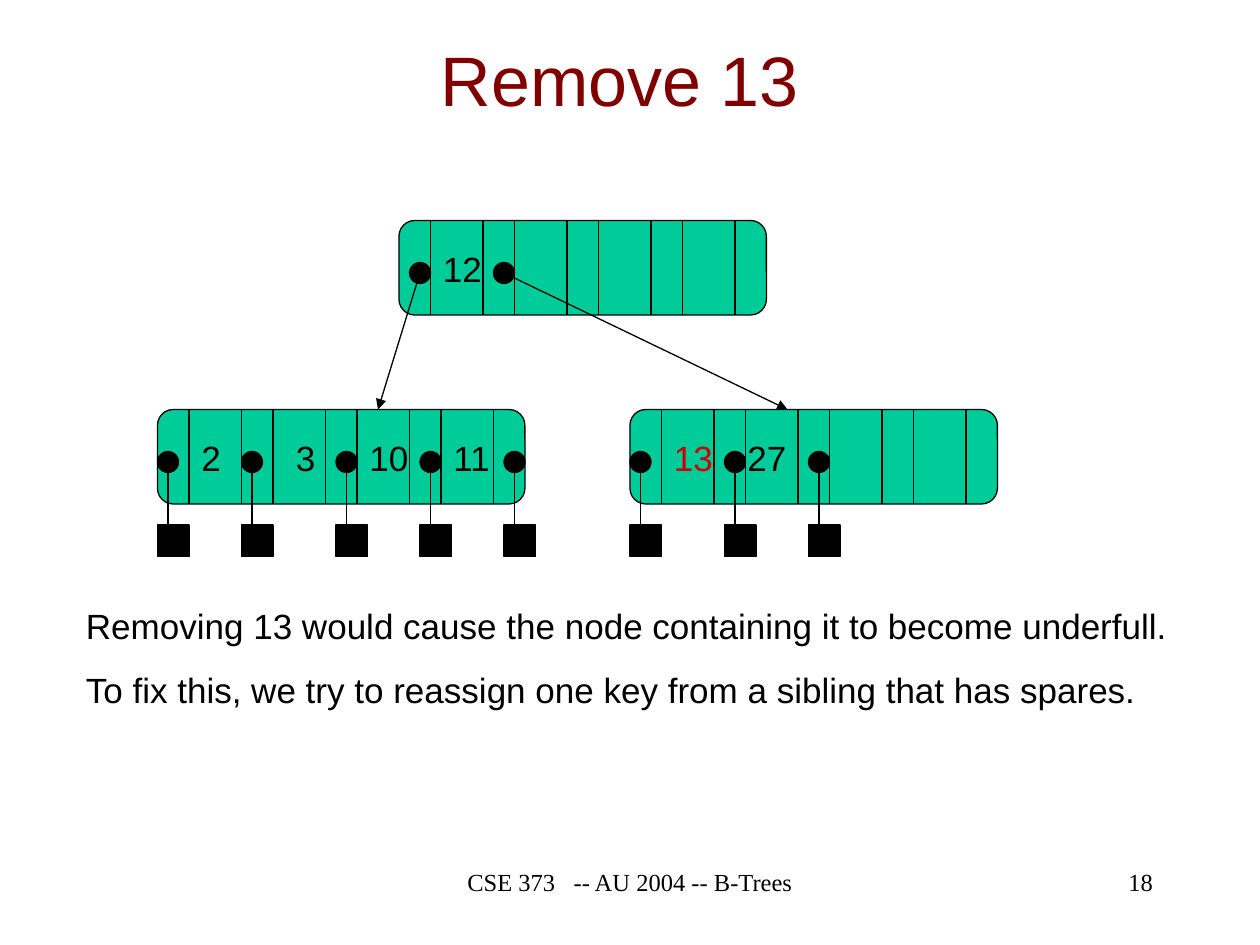
"""Draw a B-tree slide on a grid of twelfths of an inch."""
from dataclasses import dataclass

import pptx
import pptx.dml.color
import pptx.enum.shapes
import pptx.enum.text
import pptx.oxml
import pptx.oxml.ns
import pptx.util

Kind = pptx.enum.shapes.MSO_SHAPE
Align = pptx.enum.text.PP_ALIGN
Anchor = pptx.enum.text.MSO_ANCHOR
Fit = pptx.enum.text.MSO_AUTO_SIZE
BLACK, RED, MAROON, GREEN = "000000", "CC0000", "800000", "00CC99"
WIDE, HIGH = 35, 9


@dataclass
class Key:
    text: str
    shift: float
    tint: str = BLACK


@dataclass
class Node:
    left: float
    top: float
    keys: list[Key]
    dots: list[float]
    leaf: bool = True


@dataclass
class Label:
    box: tuple[float, float, float, float]
    lines: list[str]
    size: float
    tint: str = BLACK
    face: str = "Arial"
    align: Align = Align.LEFT
    before: float = 0
    anchor: Anchor = Anchor.TOP
    wrap: bool = True
    fit: Fit = Fit.NONE


NODES = [
    Node(15, 39, [Key("2", 3), Key("3", 12), Key("10", 19), Key("11", 27)],
         [0, 8, 17, 25, 33]),
    Node(38, 21, [Key("12", 3)], [1, 9], False),
    Node(60, 39, [Key("13", 3, RED), Key("27", 10)], [0, 9, 17]),
]
LINKS = [(40, 26, 36, 39), (48, 26, 75, 39)]
LABELS = [
    Label((41, 82, 38, 6), ["CSE 373   -- AU 2004 -- B-Trees"], 14,
          face="Times New Roman", align=Align.CENTER),
    Label((86, 82, 25, 6), ["18"], 14, face="Times New Roman", align=Align.RIGHT),
    Label((8, 2, 102, 11), ["Remove 13"], 40, MAROON, align=Align.CENTER,
          anchor=Anchor.MIDDLE),
    Label((7, 57, 107, 17.4), [
        "Removing 13 would cause the node containing it to become underfull.",
        "To fix this, we try to reassign one key from a sibling that has spares.",
    ], 20, before=12.5),
]


def grid(*units: float) -> list[pptx.util.Cm]:
    """Turn grid units into lengths."""
    return [pptx.util.Cm(unit * 2.54 / 12) for unit in units]


def color(tint: str) -> pptx.dml.color.RGBColor:
    """Turn a hex string into a colour."""
    return pptx.dml.color.RGBColor.from_string(tint)


def apply(item: object, form: dict) -> None:
    """Set every format value on the item."""
    for name, value in form.items():
        setattr(item, name, value)


def write(page, label: Label) -> None:
    """Add a text box with one paragraph per line."""
    frame = page.shapes.add_textbox(*grid(*label.box)).text_frame
    apply(frame, {"word_wrap": label.wrap, "auto_size": label.fit,
                  "vertical_anchor": label.anchor, "text": "\n".join(label.lines)})
    for para in frame.paragraphs:
        apply(para, {"alignment": label.align,
                     "space_before": pptx.util.Pt(label.before)})
        apply(para.font, {"size": pptx.util.Pt(label.size), "name": label.face})
        para.font.color.rgb = color(label.tint)


def block(page, kind: Kind, box: tuple, tint: str):
    """Add a filled shape with a thin black outline."""
    shape = page.shapes.add_shape(kind, *grid(*box))
    shape.shadow.inherit = False
    shape.fill.solid()
    shape.fill.fore_color.rgb = color(tint)
    shape.line.color.rgb = color(BLACK)
    shape.line.width = pptx.util.Pt(0.75)
    return shape


def line(page, ends: tuple, arrow: bool = False) -> None:
    """Add a straight line, with an arrowhead at its end if asked."""
    wire = page.shapes.add_connector(
        pptx.enum.shapes.MSO_CONNECTOR.STRAIGHT, *grid(*ends))
    wire.line.color.rgb = color(BLACK)
    wire.line.width = pptx.util.Pt(0.75)
    props = wire.line._get_or_add_ln()
    if arrow:
        tip = pptx.oxml.parse_xml(
            f'<a:tailEnd {pptx.oxml.ns.nsdecls("a")} type="triangle"/>')
        props.append(tip)
    props.addnext(pptx.oxml.parse_xml(
        f'<a:effectLst {pptx.oxml.ns.nsdecls("a")}/>'))


def draw(page, node: Node) -> None:
    """Add a node with its dividers, keys, pointers and data blocks."""
    left, top = node.left, node.top
    body = block(page, Kind.ROUNDED_RECTANGLE, (left, top, WIDE, HIGH), GREEN)
    body.adjustments[0] = 0.167
    for start in range(0, 32, 8):
        for side in (left + start + 3, left + start + 8):
            line(page, (side, top, side, top + HIGH))
    for key in node.keys:
        box = (left + key.shift, top + 2, 2.4 + 1.86 * len(key.text), 5.25)
        write(page, Label(box, [key.text], 20, key.tint, wrap=False,
                          fit=Fit.SHAPE_TO_FIT_TEXT))
    for dot in node.dots:
        side = left + dot
        block(page, Kind.OVAL, (side, top + 4, 2, 2), BLACK)
        if node.leaf:
            line(page, (side + 1, top + 5, side + 1, top + 13), True)
            block(page, Kind.RECTANGLE, (side, top + 11, 3, 3), BLACK)


def main() -> None:
    """Build and save the slide."""
    deck = pptx.Presentation()
    apply(deck, {"slide_width": pptx.util.Cm(25.4),
                 "slide_height": pptx.util.Cm(19.05)})
    page = deck.slides.add_slide(deck.slide_layouts[6])
    for label in LABELS:
        write(page, label)
    for node in NODES:
        draw(page, node)
    for ends in LINKS:
        line(page, ends, True)
    deck.save("out.pptx")


if __name__ == "__main__":
    main()
